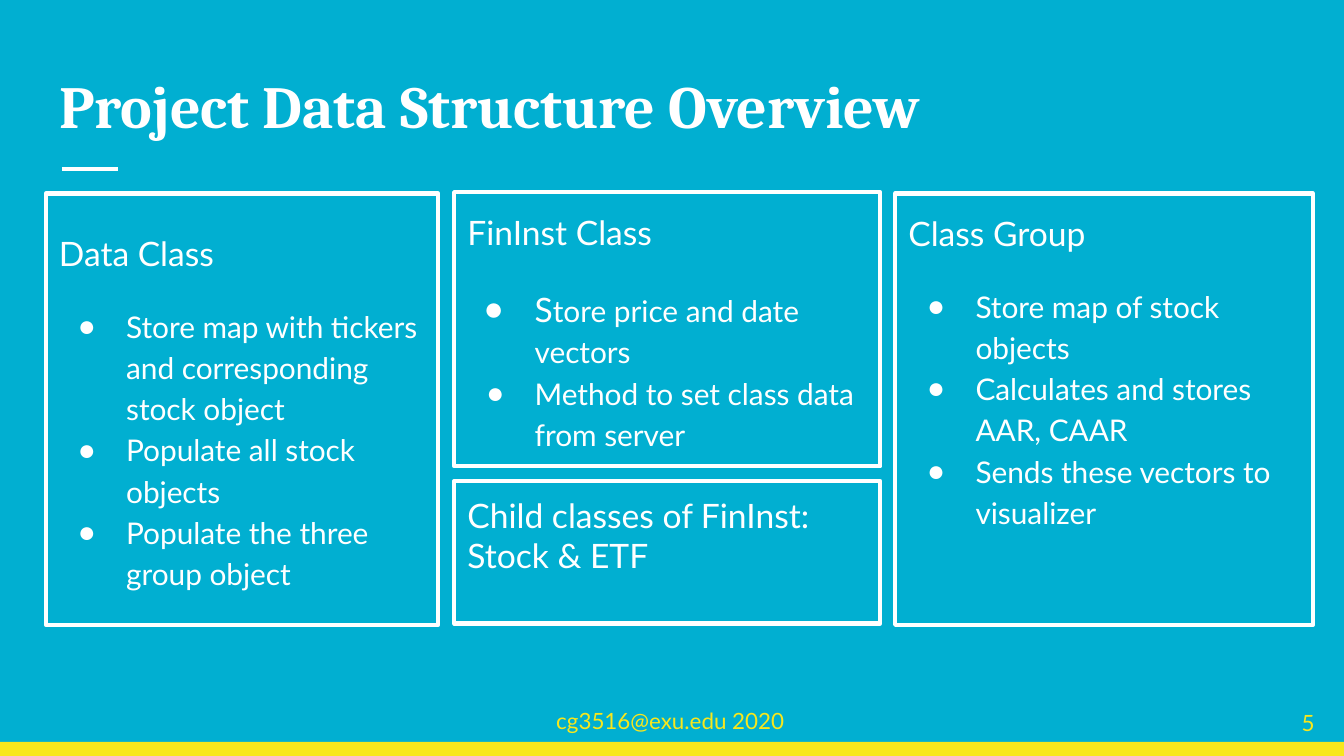
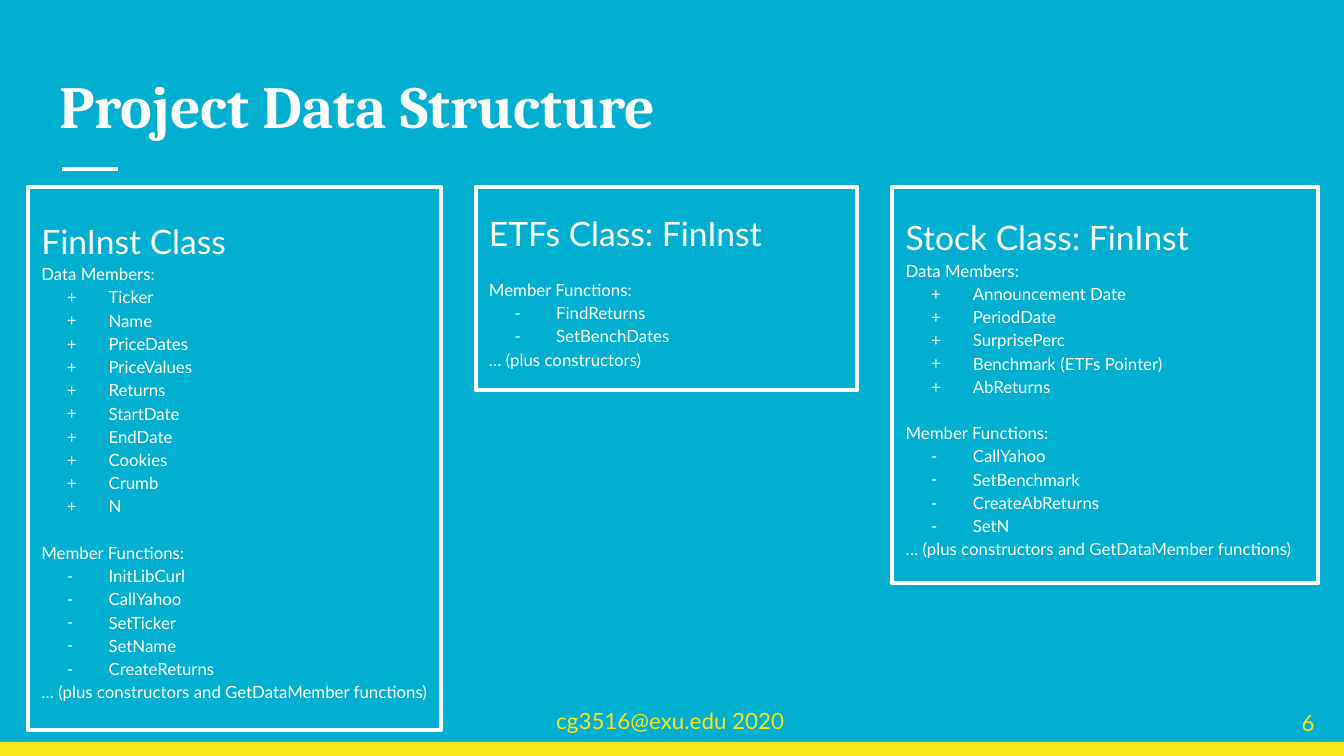
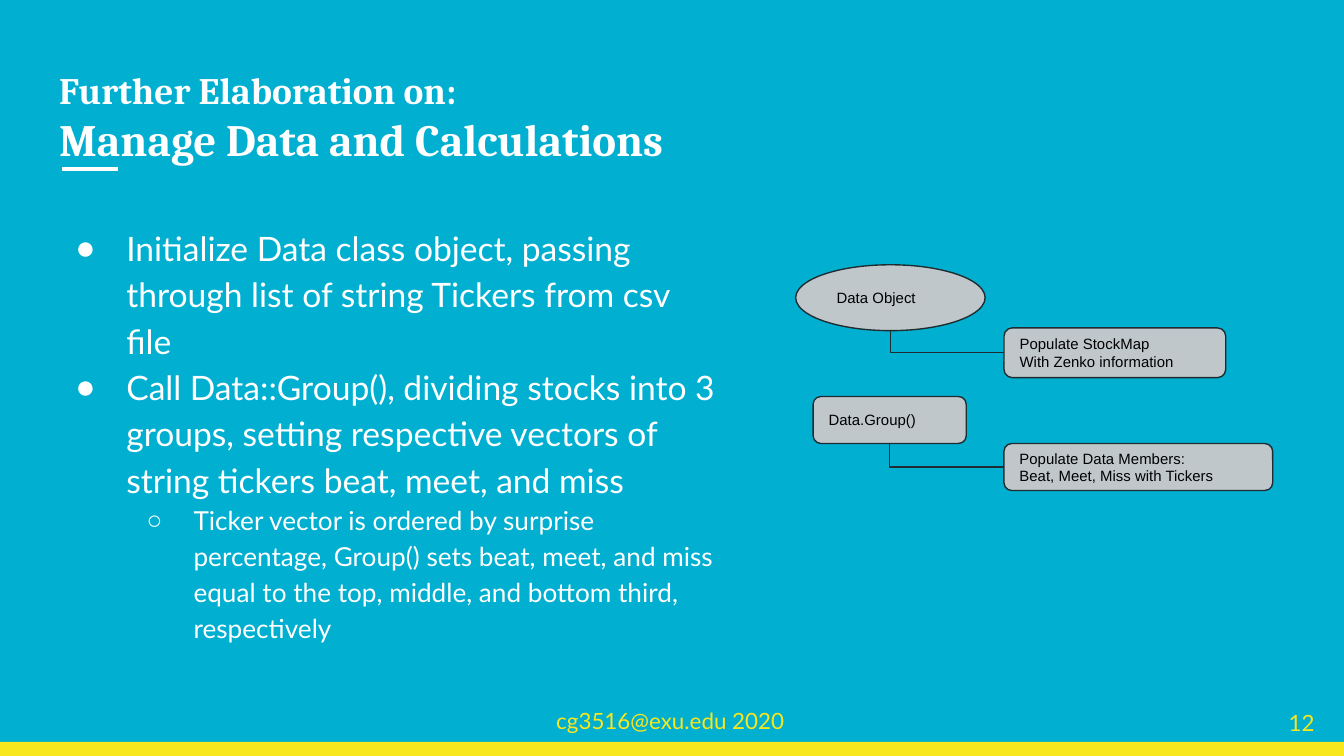
import dataclasses

import lxml.etree
import pptx
import pptx.dml.color
import pptx.enum.shapes
import pptx.enum.text
import pptx.oxml.ns
import pptx.util

Inches = pptx.util.Inches
Pt = pptx.util.Pt
Shapes = pptx.enum.shapes.MSO_SHAPE
Anchor = pptx.enum.text.MSO_ANCHOR
Align = pptx.enum.text.PP_ALIGN
qn = pptx.oxml.ns.qn

# Shared look
BLUE, YELLOW, WHITE = "01AFD1", "F8E71C", "FFFFFF"
GREY, INK, BLACK = "BFC7CA", "1E2D31", "000000"
HEADING_FONT, TEXT_FONT, DIAGRAM_FONT = "Cambria", "Lato", "Arial"
FOOTER = "cg3516@exu.edu 2020"
TITLE_ONLY, TITLE_AND_BODY = 5, 1
CARD_SPACING = 1.15
SMALL_LINE = 12.4  # height of one 9 pt line, used as a gap


@dataclasses.dataclass
class Line:
    text: str
    size: float
    bullet: str = ""
    indent: float = 0.5
    hanging: float = 0.36
    before: float = 0
    level: int = 0
    lead: str = ""  # opening letters set at 18 pt


def color(value):
    return pptx.dml.color.RGBColor.from_string(value)


def add_bullet(paragraph, line):
    properties = paragraph._p.get_or_add_pPr()
    properties.set("marL", str(Inches(line.indent)))
    properties.set("indent", str(-Inches(line.hanging)))
    fill = lxml.etree.SubElement(properties, qn("a:buClr"))
    lxml.etree.SubElement(fill, qn("a:srgbClr")).set("val", WHITE)
    font = DIAGRAM_FONT if line.bullet in "●○" else TEXT_FONT
    lxml.etree.SubElement(properties, qn("a:buFont")).set("typeface", font)
    lxml.etree.SubElement(properties, qn("a:buChar")).set("char", line.bullet)


def write(shape, lines, font=TEXT_FONT, ink=WHITE, bold=False, spacing=1.0,
          anchor=Anchor.TOP, align=Align.LEFT):
    frame = shape.text_frame
    frame.word_wrap = True
    frame.auto_size = pptx.enum.text.MSO_AUTO_SIZE.NONE
    frame.vertical_anchor = anchor
    frame.margin_left = frame.margin_right = Inches(0.1)
    frame.margin_top = frame.margin_bottom = Inches(0.1)
    for index, line in enumerate(lines):
        paragraph = frame.add_paragraph() if index else frame.paragraphs[0]
        if line.bullet:
            add_bullet(paragraph, line)
        paragraph.level = line.level
        paragraph.alignment = align
        paragraph.line_spacing = spacing
        paragraph.space_before = Pt(line.before)
        paragraph.font.name = font
        paragraph.font.size = Pt(line.size)
        paragraph.font.bold = bold
        paragraph.font.color.rgb = color(ink)
        if line.lead:
            lead = paragraph.add_run()
            lead.text = line.lead
            lead.font.size = Pt(18)
        paragraph.add_run().text = line.text


def place(shape, box):
    shape.left, shape.top, shape.width, shape.height = map(Inches, box)


def add_box(slide, kind, box, fill=None, line=None, weight=0.75):
    shape = slide.shapes.add_shape(kind, *map(Inches, box))
    shape.shadow.inherit = False
    if fill:
        shape.fill.solid()
        shape.fill.fore_color.rgb = color(fill)
    else:
        shape.fill.background()
    if line:
        shape.line.color.rgb = color(line)
        shape.line.width = Pt(weight)
    else:
        shape.line.fill.background()
    return shape


def style_connector(connector, ink, weight):
    connector.line.color.rgb = color(ink)
    connector.line.width = Pt(weight)
    lxml.etree.SubElement(connector.element.spPr, qn("a:effectLst"))


def add_slide(presentation, layout, title_lines, number, title_top=0.41):
    """Slide with the shared band, title, rule and footers."""
    slide = presentation.slides.add_slide(presentation.slide_layouts[layout])
    add_box(slide, Shapes.RECTANGLE, (0, 5.52, 10, 0.11), fill=YELLOW)
    rule = slide.shapes.add_connector(
        pptx.enum.shapes.MSO_CONNECTOR.STRAIGHT,
        Inches(0.46), Inches(1.26), Inches(0.88), Inches(1.26))
    style_connector(rule, WHITE, 2.25)
    place(slide.shapes.title, (0.34, title_top, 9.32, 0.71))
    write(slide.shapes.title, title_lines, font=HEADING_FONT, bold=True)
    footer = slide.shapes.add_textbox(*map(Inches, (4.04, 5.16, 1.92, 0.32)))
    write(footer, [Line(FOOTER, 12)], ink=YELLOW)
    page = slide.shapes.add_textbox(*map(Inches, (9.46, 5.16, 0.42, 0.43)))
    write(page, [Line(number, 12)], ink=YELLOW, anchor=Anchor.MIDDLE,
          align=Align.RIGHT)
    return slide


def add_card(slide, box, lines, anchor=Anchor.MIDDLE, spacing=CARD_SPACING):
    card = add_box(slide, Shapes.RECTANGLE, box, line=WHITE, weight=2.25)
    write(card, lines, spacing=spacing, anchor=anchor)


def summary(heading, points):
    """Card heading followed by bullets, the first set off by a gap."""
    return [Line(heading, 18)] + [
        Line(point, 16, "●", before=0 if index else 16)
        for index, point in enumerate(points)]


def class_members(heading, data, functions, closing):
    """Card listing a class's data members, if any, and functions."""
    lines = [Line(heading, 18)]
    if data:
        lines.append(Line("Data Members:", 9))
        lines += [Line(name, 9, "+", hanging=0.31) for name in data]
    lines.append(Line("Member Functions:", 9, before=SMALL_LINE))
    lines += [Line(name, 9, "-", hanging=0.31) for name in functions]
    return lines + [Line(closing, 9)]


def build_overview(presentation):
    slide = add_slide(presentation, TITLE_ONLY,
                      [Line("Project Data Structure Overview", 32)], "5")
    add_card(slide, (0.34, 1.44, 2.92, 3.21), summary("Data Class", [
        "Store map with tickers and corresponding stock object",
        "Populate all stock objects",
        "Populate the three group object"]))
    add_card(slide, (3.38, 3.58, 3.17, 1.06),
             [Line("Child classes of FinInst:", 18), Line("Stock & ETF", 18)],
             anchor=Anchor.TOP, spacing=1.0)
    instrument = summary("FinInst Class", [
        "tore price and date vectors",
        "Method to set class data from server"])
    instrument[1].lead, instrument[1].hanging = "S", 0.38
    add_card(slide, (3.38, 1.43, 3.17, 2.04), instrument)
    add_card(slide, (6.66, 1.44, 3.11, 3.21), summary("Class Group", [
        "Store map of stock objects",
        "Calculates and stores AAR, CAAR",
        "Sends these vectors to visualizer"]), anchor=Anchor.TOP)


def build_classes(presentation):
    slide = add_slide(presentation, TITLE_ONLY,
                      [Line("Project Data Structure", 32)], "6")
    top = 1.39
    closing = "… (plus constructors and GetDataMember functions)"
    add_card(slide, (0.21, top, 3.07, 4.04), class_members(
        "FinInst Class",
        ["Ticker", "Name", "PriceDates", "PriceValues", "Returns",
         "StartDate", "EndDate", "Cookies", "Crumb", "N"],
        ["InitLibCurl", "CallYahoo", "SetTicker", "SetName", "CreateReturns"],
        closing))
    add_card(slide, (3.54, top, 2.84, 1.51), class_members(
        "ETFs Class: FinInst", [], ["FindReturns", "SetBenchDates"],
        "… (plus constructors)"))
    add_card(slide, (6.64, top, 3.17, 2.95), class_members(
        "Stock Class: FinInst",
        ["Announcement Date", "PeriodDate", "SurprisePerc",
         "Benchmark (ETFs Pointer)", "AbReturns"],
        ["CallYahoo", "SetBenchmark", "CreateAbReturns", "SetN"], closing))


def add_node(slide, kind, box, texts):
    node = add_box(slide, kind, box, fill=GREY, line=INK)
    write(node, [Line(text, 8) for text in texts], font=DIAGRAM_FONT,
          ink=BLACK, anchor=Anchor.MIDDLE)
    return node


def add_elbow(slide, source, target, bottom_site):
    """Join the bottom of source to the left of target with one bend."""
    elbow = slide.shapes.add_connector(
        pptx.enum.shapes.MSO_CONNECTOR.ELBOW, 0, 0, 0, 0)
    elbow.begin_connect(source, 2)
    elbow.end_connect(target, 1)
    next(elbow.element.iter(qn("a:stCxn"))).set("idx", str(bottom_site))
    # Turn the one-bend preset so that it goes down, then right
    start_x, start_y = source.left + source.width // 2, source.top + source.height
    across = target.left - start_x
    down = target.top + target.height // 2 - start_y
    elbow.left = start_x + (across - down) // 2
    elbow.top = start_y + (down - across) // 2
    elbow.width, elbow.height = down, across
    frame = elbow.element.spPr.find(qn("a:xfrm"))
    frame.attrib.pop("flipV", None)
    frame.set("rot", "16200000")
    frame.set("flipH", "1")
    elbow.element.spPr.find(qn("a:prstGeom")).set("prst", "bentConnector2")
    style_connector(elbow, INK, 0.75)


def add_flow(slide, left, top):
    """Two steps, each leading to what it populates."""
    rounded = Shapes.ROUNDED_RECTANGLE
    data = add_node(slide, Shapes.OVAL, (left, top, 1.41, 0.49),
                    ["Data Object"])
    group = add_node(slide, rounded, (left + 0.13, top + 0.98, 1.14, 0.35),
                     ["Data.Group()"])
    stock_map = add_node(slide, rounded, (left + 1.55, top + 0.47, 1.65, 0.37),
                         ["Populate StockMap", "With Zenko information"])
    members = add_node(slide, rounded, (left + 1.55, top + 1.33, 2, 0.35),
                       ["Populate Data Members:",
                        "Beat, Meet, Miss with Tickers"])
    # The bottom site is 4 on an oval and 2 on a rectangle
    add_elbow(slide, data, stock_map, 4)
    add_elbow(slide, group, members, 2)


def build_elaboration(presentation):
    slide = add_slide(presentation, TITLE_AND_BODY,
                      [Line("Further Elaboration on:", 20),
                       Line("Manage Data and Calculations", 24)], "12",
                      title_top=0.4)
    body = slide.placeholders[1]
    place(body, (0.34, 1.55, 5.1, 3.45))
    write(body, [
        Line("Initialize Data class object, passing through list of string "
             "Tickers from csv file", 18, "●", hanging=0.38),
        Line("Call Data::Group(), dividing stocks into 3 groups, setting "
             "respective vectors of string tickers beat, meet, and miss",
             18, "●", hanging=0.38),
        Line("Ticker vector is ordered by surprise percentage, Group() sets "
             "beat, meet, and miss equal to the top, middle, and bottom "
             "third, respectively", 14, "○", indent=1, hanging=0.35, level=1),
    ], spacing=CARD_SPACING)
    add_flow(slide, 5.92, 1.97)


def main():
    presentation = pptx.Presentation()
    presentation.slide_width = Inches(10)
    presentation.slide_height = Inches(10) * 9 // 16
    background = presentation.slide_master.background.fill
    background.solid()
    background.fore_color.rgb = color(BLUE)
    build_overview(presentation)
    build_classes(presentation)
    build_elaboration(presentation)
    presentation.save("out.pptx")


if __name__ == "__main__":
    main()
